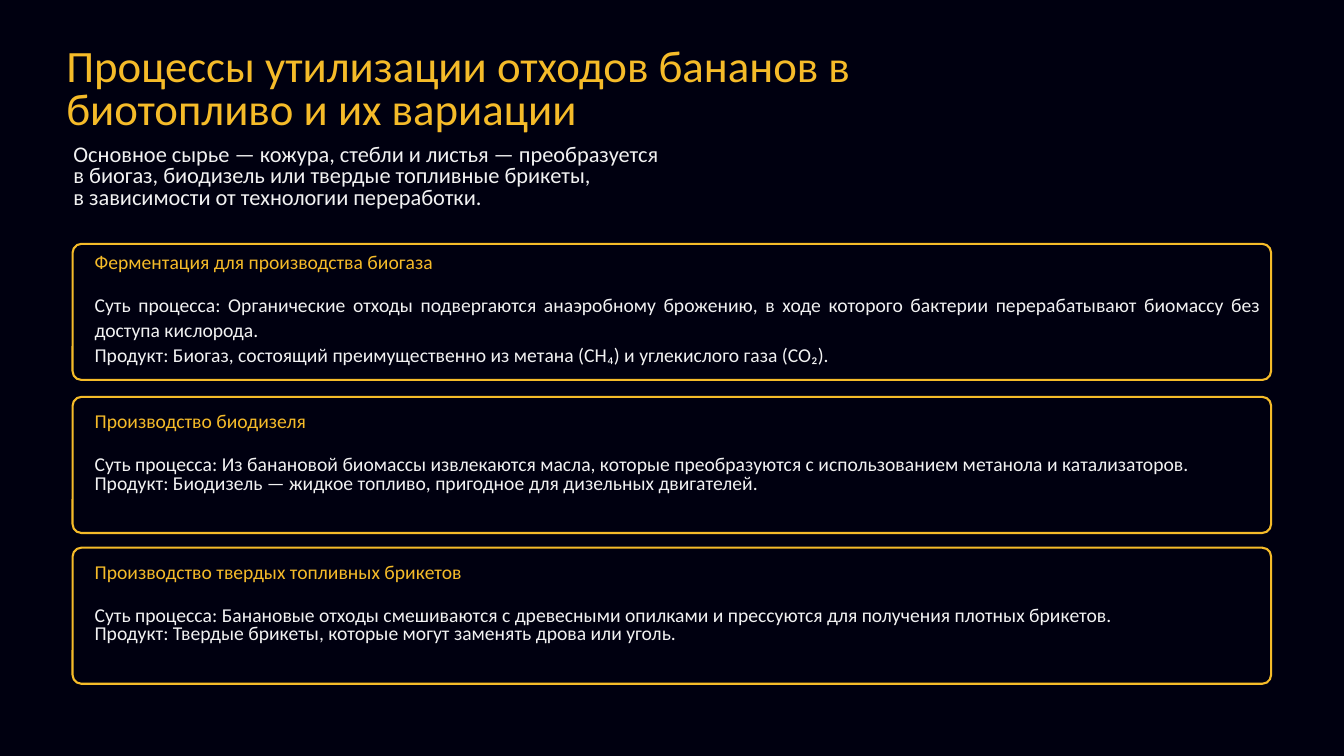
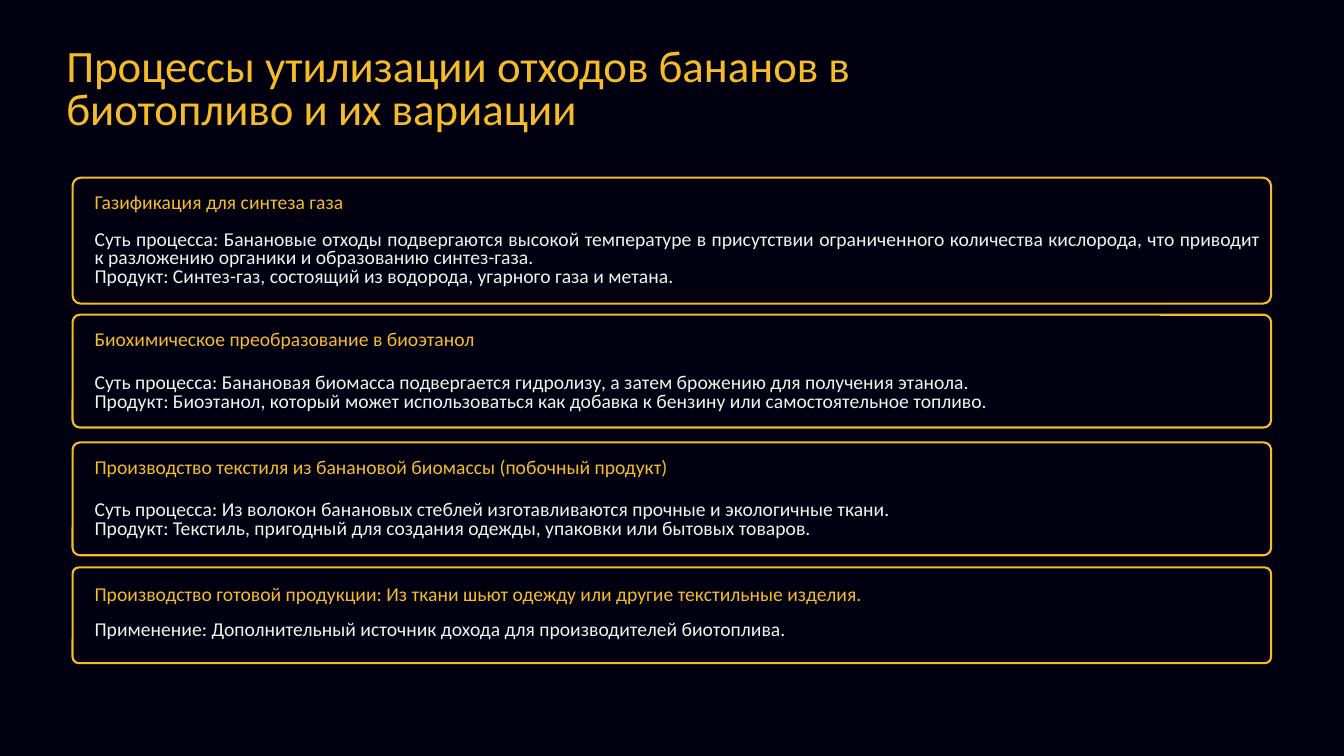
from dataclasses import dataclass

from pptx import Presentation
from pptx.dml.color import RGBColor as Rgb
from pptx.enum.shapes import MSO_SHAPE as Form
from pptx.enum.text import MSO_AUTO_SIZE as Fit, PP_ALIGN as Align
from pptx.util import Pt


@dataclass(frozen=True)
class Theme:
    back: Rgb = Rgb(0x00, 0x00, 0x10)
    gold: Rgb = Rgb(0xF5, 0xBB, 0x29)
    pale: Rgb = Rgb(0xF2, 0xF2, 0xF2)
    font: str = "Calibri"
    title: int = 32
    intro: int = 16
    body: int = 14


@dataclass(frozen=True)
class Panel:
    """A framed process; drop is the way from the frame's top to its body."""
    top: float
    high: float
    head: str
    lines: tuple
    drop: float = 38.9
    wide: float = 392.4
    lead: float = 1.07
    pitch: float = 0.8
    after: float = 8


class Deck:
    LEFT, WIDE = 51.84, 856.08
    INDENT = 8.64

    def __init__(self, theme):
        self.theme = theme
        self.show = Presentation()
        self.show.slide_width, self.show.slide_height = Pt(960), Pt(540)
        self.slide = None

    def page(self, title, wide):
        self.slide = self.show.slides.add_slide(self.show.slide_layouts[6])
        fill = self.slide.background.fill
        fill.solid()
        fill.fore_color.rgb = self.theme.back
        self.text((40.3, 31, wide, 69), [title], self.theme.title,
                  self.theme.gold, before=12)

    def text(self, place, lines, size, tint, pitch=0.8, before=0, after=0,
             align=Align.LEFT):
        """Write one paragraph per line; after is the space below the last."""
        frame = self.slide.shapes.add_textbox(*map(Pt, place)).text_frame
        frame.word_wrap = True
        frame.auto_size = Fit.SHAPE_TO_FIT_TEXT
        frame.text = "\n".join(lines)
        for para in frame.paragraphs:
            para.alignment = align
            para.line_spacing = pitch
            para.space_before, para.space_after = Pt(before), Pt(0)
            font = para.font
            font.name, font.size = self.theme.font, Pt(size)
            font.color.rgb = tint
        frame.paragraphs[-1].space_after = Pt(after)

    def intro(self, line):
        self.text((45.4, 100, 601, 54), [line], self.theme.intro,
                  self.theme.pale, after=8)

    def frame(self, top, high):
        box = self.slide.shapes.add_shape(
            Form.ROUNDED_RECTANGLE, *map(Pt, (self.LEFT, top, self.WIDE, high)))
        box.adjustments[0] = 0.065
        box.shadow.inherit = False
        box.fill.background()
        box.line.color.rgb = self.theme.gold
        box.line.width = Pt(1.5)

    def panel(self, item):
        look, left = self.theme, self.LEFT + self.INDENT
        self.text((left, item.top + 4, item.wide, 24.5), [item.head],
                  look.body, look.gold, item.lead, after=8, align=Align.JUSTIFY)
        self.frame(item.top, item.high)
        self.text((left, item.top + item.drop, self.WIDE - self.INDENT, 48),
                  item.lines, look.body, look.pale, item.pitch,
                  after=item.after, align=Align.JUSTIFY)

    def save(self):
        self.show.save("out.pptx")


TITLE = "Процессы утилизации отходов бананов в биотопливо и их вариации"
INTRO = ("Основное сырье — кожура, стебли и листья — преобразуется\v"
         "в биогаз, биодизель или твердые топливные брикеты,\v"
         "в зависимости от технологии переработки.")

FUELS = (
    Panel(174.2, 97.2, "Ферментация для производства биогаза", (
        "Суть процесса: Органические отходы подвергаются анаэробному брожению, "
        "в ходе которого бактерии перерабатывают биомассу без доступа кислорода.",
        "Продукт: Биогаз, состоящий преимущественно из метана (CH₄) "
        "и углекислого газа (CO₂).",
    ), drop=30.2, lead=0.8, pitch=1.07, after=0),
    Panel(283.5, 97.2, "Производство биодизеля", (
        "Суть процесса: Из банановой биомассы извлекаются масла, которые "
        "преобразуются с использованием метанола и катализаторов.",
        "Продукт: Биодизель — жидкое топливо, пригодное для дизельных двигателей.",
    )),
    Panel(391.2, 97.2, "Производство твердых топливных брикетов", (
        "Суть процесса: Банановые отходы смешиваются с древесными опилками "
        "и прессуются для получения плотных брикетов.",
        "Продукт: Твердые брикеты, которые могут заменять дрова или уголь.",
    )),
)

OTHERS = (
    Panel(126.9, 90, "Газификация для синтеза газа", (
        "Суть процесса: Банановые отходы подвергаются высокой температуре "
        "в присутствии ограниченного количества кислорода, что приводит "
        "к разложению органики и образованию синтез-газа.",
        "Продукт: Синтез-газ, состоящий из водорода, угарного газа и метана.",
    ), drop=34.5),
    Panel(224.8, 80.6, "Биохимическое преобразование в биоэтанол", (
        "Суть процесса: Банановая биомасса подвергается гидролизу, "
        "а затем брожению для получения этанола.",
        "Продукт: Биоэтанол, который может использоваться как добавка "
        "к бензину или самостоятельное топливо.",
    )),
    Panel(316, 80.6,
          "Производство текстиля из банановой биомассы (побочный продукт)", (
              "Суть процесса: Из волокон банановых стеблей изготавливаются "
              "прочные и экологичные ткани.",
              "Продукт: Текстиль, пригодный для создания одежды, упаковки "
              "или бытовых товаров.",
          ), wide=698.4),
    Panel(405.3, 68.4, "Производство готовой продукции: Из ткани шьют одежду "
          "или другие текстильные изделия.", (
              "Применение: Дополнительный источник дохода "
              "для производителей биотоплива.",
          ), drop=35.3, wide=808.6, lead=1.15, after=0),
)


def main():
    deck = Deck(Theme())
    deck.page(TITLE, 712)
    deck.intro(INTRO)
    for item in FUELS:
        deck.panel(item)
    deck.page(TITLE, 690)
    for item in OTHERS:
        deck.panel(item)
    deck.save()


if __name__ == "__main__":
    main()
